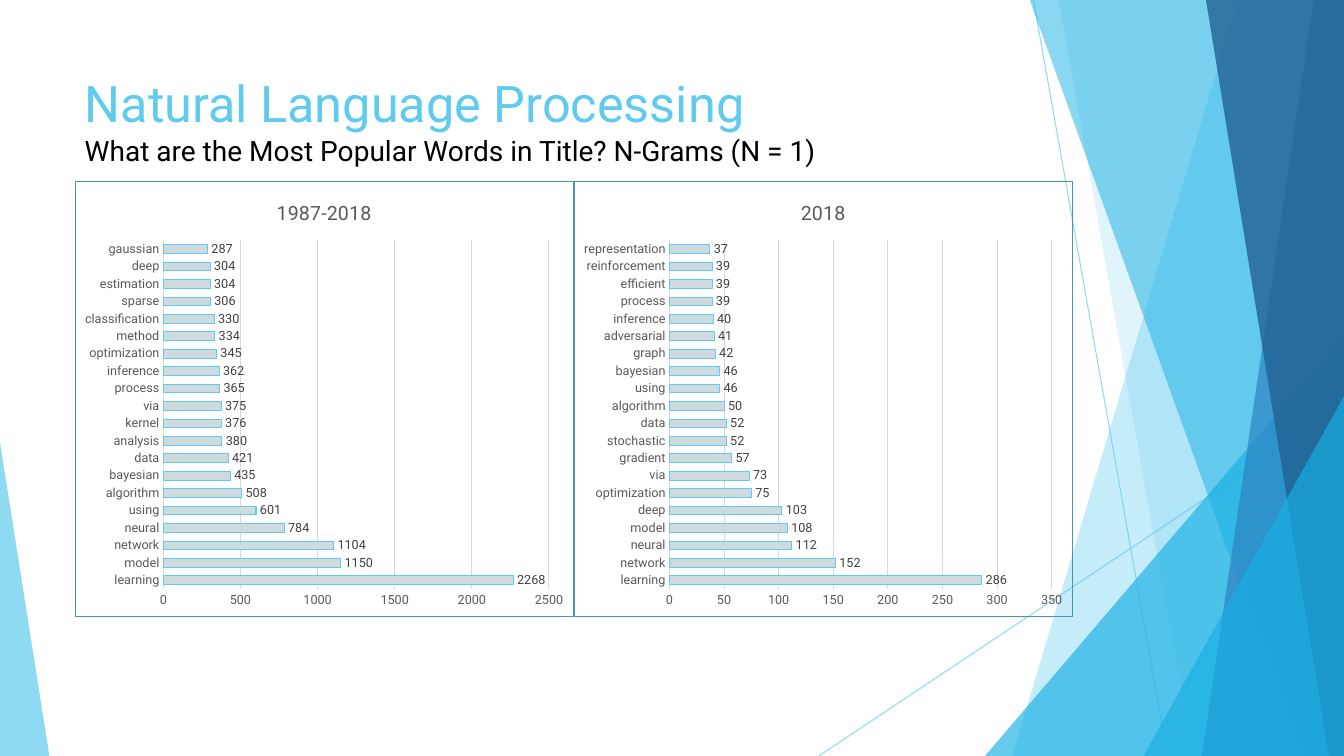
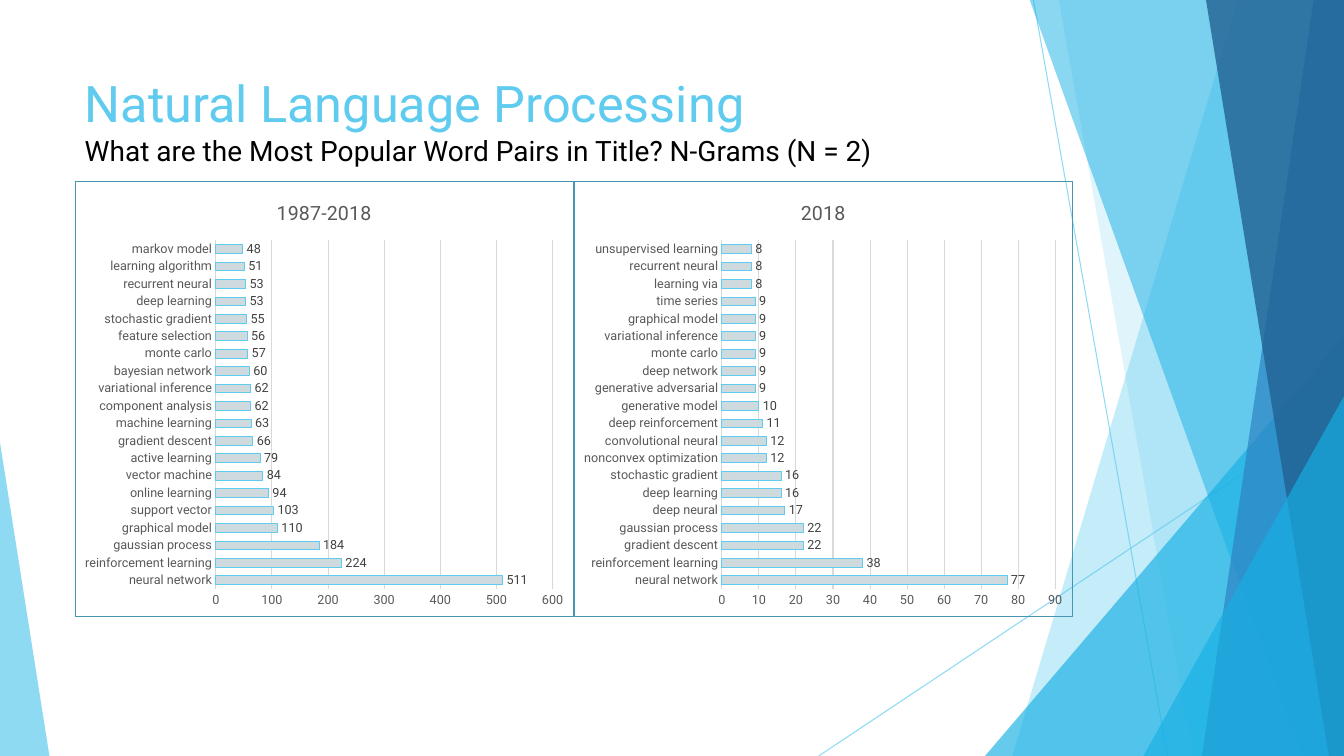
"""Build two slides of bar charts showing the most popular title words and word pairs."""
from lxml import etree
from pptx import Presentation, oxml, util as u
from pptx.chart import data as chart_data
from pptx.dml.color import RGBColor
from pptx.enum import chart as chart_enum, shapes, text
from pptx.oxml import ns

FONT = "Roboto"
SKY = RGBColor(0x5F, 0xCB, 0xEF)
CYAN = RGBColor(0x17, 0xB0, 0xE4)
BLUE = RGBColor(0x2E, 0x83, 0xC3)
NAVY = RGBColor(0x22, 0x62, 0x92)
BORDER = RGBColor(0x46, 0x96, 0xB1)
BAR = RGBColor(0xCF, 0xDA, 0xDF)
GRID = RGBColor(0xD9, 0xD9, 0xD9)
AXIS_TEXT = RGBColor(0x59, 0x59, 0x59)
LABEL_TEXT = RGBColor(0x40, 0x40, 0x40)
BLACK = RGBColor(0, 0, 0)

WIDTH, HEIGHT = 13.33, 7.5
CHART_LEFT, CHART_TOP, CHART_WIDTH, CHART_HEIGHT = 0.74, 1.8, 4.95, 4.32
PERIODS = ["1987-2018", "2018"]

RAYS = [(10.25, 0, 11.58, HEIGHT), (WIDTH, 4.03, 8.12, HEIGHT)]
FACETS = [
    (SKY, 36, (12.28, 10.04)),
    (SKY, 20, (10.5, 11.83)),
    (CYAN, 66, (9.77, 3.33, 3.56, 1)),
    (CYAN, 50, (10.21, 12.91)),
    (BLUE, 70, (13.03, 11.92)),
    (NAVY, 80, (11.96, 13.18)),
    (CYAN, 66, (11.34, 3.93, 1.99, 1)),
    (SKY, 70, (0, 4.39, 0.49, 0)),
]

SLIDES = [
    ("What are the Most Popular Words in Title? N-Grams (N = 1)", [
        ("learning, model, network, neural, using, algorithm, bayesian, data, analysis, kernel, "
         "via, process, inference, optimization, method, classification, sparse, estimation, "
         "deep, gaussian",
         [2268, 1150, 1104, 784, 601, 508, 435, 421, 380, 376,
          375, 365, 362, 345, 334, 330, 306, 304, 304, 287]),
        ("learning, network, neural, model, deep, optimization, via, gradient, stochastic, data, "
         "algorithm, using, bayesian, graph, adversarial, inference, process, efficient, "
         "reinforcement, representation",
         [286, 152, 112, 108, 103, 75, 73, 57, 52, 52,
          50, 46, 46, 42, 41, 40, 39, 39, 39, 37]),
    ]),
    ("What are the Most Popular Word Pairs in Title? N-Grams (N = 2)", [
        ("neural network, reinforcement learning, gaussian process, graphical model, "
         "support vector, online learning, vector machine, active learning, gradient descent, "
         "machine learning, component analysis, variational inference, bayesian network, "
         "monte carlo, feature selection, stochastic gradient, deep learning, "
         "recurrent neural, learning algorithm, markov model",
         [511, 224, 184, 110, 103, 94, 84, 79, 66, 63,
          62, 62, 60, 57, 56, 55, 53, 53, 51, 48]),
        ("neural network, reinforcement learning, gradient descent, gaussian process, "
         "deep neural, deep learning, stochastic gradient, nonconvex optimization, "
         "convolutional neural, deep reinforcement, generative model, generative adversarial, "
         "deep network, monte carlo, variational inference, graphical model, time series, "
         "learning via, recurrent neural, unsupervised learning",
         [77, 38, 22, 22, 17, 16, 16, 12, 12, 11,
          10, 9, 9, 9, 9, 9, 9, 8, 8, 8]),
    ]),
]


def add_span(para, words, size, color):
    """Append formatted text to a paragraph."""
    span = para.add_run()
    span.text = words
    span.font.name = FONT
    span.font.size = u.Pt(size)
    span.font.bold = False
    span.font.color.rgb = color


def set_alpha(shape, percent):
    """Make every solid colour of a shape translucent."""
    for node in shape.element.iter(ns.qn("a:srgbClr")):
        etree.SubElement(node, ns.qn("a:alpha")).set("val", str(percent * 1000))


deck = Presentation()
deck.slide_width = u.Inches(WIDTH)
deck.slide_height = u.Inches(HEIGHT)
layout = deck.slide_layouts[5]
heading = layout.placeholders[0]
heading.left, heading.top = u.Inches(0.74), u.Inches(0.67)
heading.width, heading.height = u.Inches(9.4), u.Inches(1.44)
pages = [deck.slides.add_slide(layout) for _ in SLIDES]

backdrop = pages[0].shapes.add_group_shape()
for ends in RAYS:
    ray = backdrop.shapes.add_connector(
        shapes.MSO_CONNECTOR.STRAIGHT, *[u.Inches(value) for value in ends])
    ray.line.color.rgb = SKY
    ray.line.width = u.Pt(0.75)
    set_alpha(ray, 70)
    etree.SubElement(ray.element.spPr, ns.qn("a:effectLst"))

for color, alpha, geometry in FACETS:
    if len(geometry) == 2:
        upper, lower = geometry
        outline = backdrop.shapes.build_freeform(u.Inches(upper), u.Inches(-0.01))
        corners = [(WIDTH, -0.01), (WIDTH, HEIGHT), (lower, HEIGHT)]
        outline.add_line_segments([(u.Inches(x), u.Inches(y)) for x, y in corners])
        facet = outline.convert_to_shape()
    else:
        left, top, width, apex = geometry
        facet = backdrop.shapes.add_shape(
            shapes.MSO_SHAPE.ISOSCELES_TRIANGLE,
            u.Inches(left), u.Inches(top), u.Inches(width), u.Inches(HEIGHT - top))
        facet.adjustments[0] = apex
    facet.shadow.inherit = False
    facet.fill.solid()
    facet.fill.fore_color.rgb = color
    facet.line.fill.background()
    set_alpha(facet, alpha)

for number, node in enumerate(backdrop.element.iter(ns.qn("p:cNvPr")), 100):
    node.set("id", str(number))
layout.shapes.element.insert(2, backdrop.element)

for page, (question, rankings) in zip(pages, SLIDES):
    frame = page.shapes.title.text_frame
    frame.word_wrap = True
    frame.auto_size = text.MSO_AUTO_SIZE.NONE
    frame.vertical_anchor = text.MSO_ANCHOR.TOP
    para = frame.paragraphs[0]
    para.alignment = text.PP_ALIGN.LEFT
    add_span(para, "Natural Language Processing", 36, SKY)
    para.add_line_break()
    add_span(para, question, 20, BLACK)

    for column, (period, (words, counts)) in enumerate(zip(PERIODS, rankings)):
        table = chart_data.CategoryChartData()
        table.categories = words.split(", ")
        table.add_series("Series 1", counts)
        chart = page.shapes.add_chart(
            chart_enum.XL_CHART_TYPE.BAR_CLUSTERED,
            u.Inches(CHART_LEFT + column * CHART_WIDTH), u.Inches(CHART_TOP),
            u.Inches(CHART_WIDTH), u.Inches(CHART_HEIGHT), table).chart
        chart.has_legend = False
        chart.font.name = FONT
        chart.font.size = u.Pt(10)
        chart.font.color.rgb = BLACK
        chart.has_title = True
        chart.chart_title.include_in_layout = False
        add_span(chart.chart_title.text_frame.paragraphs[0], period, 14, AXIS_TEXT)
        chart.element.find(ns.qn("c:chart")).addnext(oxml.parse_xml(
            f'<c:spPr {ns.nsdecls("c", "a")}><a:noFill/><a:ln w="{u.Pt(0.75)}"><a:solidFill>'
            f'<a:srgbClr val="{BORDER}"/></a:solidFill></a:ln></c:spPr>'))

        plot = chart.plots[0]
        plot.vary_by_categories = False
        plot.gap_width = 100
        plot.overlap = 3
        plot.has_data_labels = True
        labels = plot.data_labels
        labels.show_value = True
        labels.position = chart_enum.XL_LABEL_POSITION.OUTSIDE_END
        bars = plot.series[0].format
        bars.fill.solid()
        bars.fill.fore_color.rgb = BAR

        names, scale = chart.category_axis, chart.value_axis
        for axis in (names, scale):
            axis.major_tick_mark = chart_enum.XL_TICK_MARK.NONE
            axis.minor_tick_mark = chart_enum.XL_TICK_MARK.NONE
        names.has_major_gridlines = False
        scale.has_major_gridlines = True
        scale.minimum_scale = 0
        scale.format.line.fill.background()

        for line, color in ((bars.line, SKY), (names.format.line, GRID),
                            (scale.major_gridlines.format.line, GRID)):
            line.color.rgb = color
            line.width = u.Pt(0.75)
        for font, color in ((names.tick_labels.font, AXIS_TEXT),
                            (scale.tick_labels.font, AXIS_TEXT), (labels.font, LABEL_TEXT)):
            font.name = FONT
            font.size = u.Pt(9)
            font.color.rgb = color

deck.save("out.pptx")
